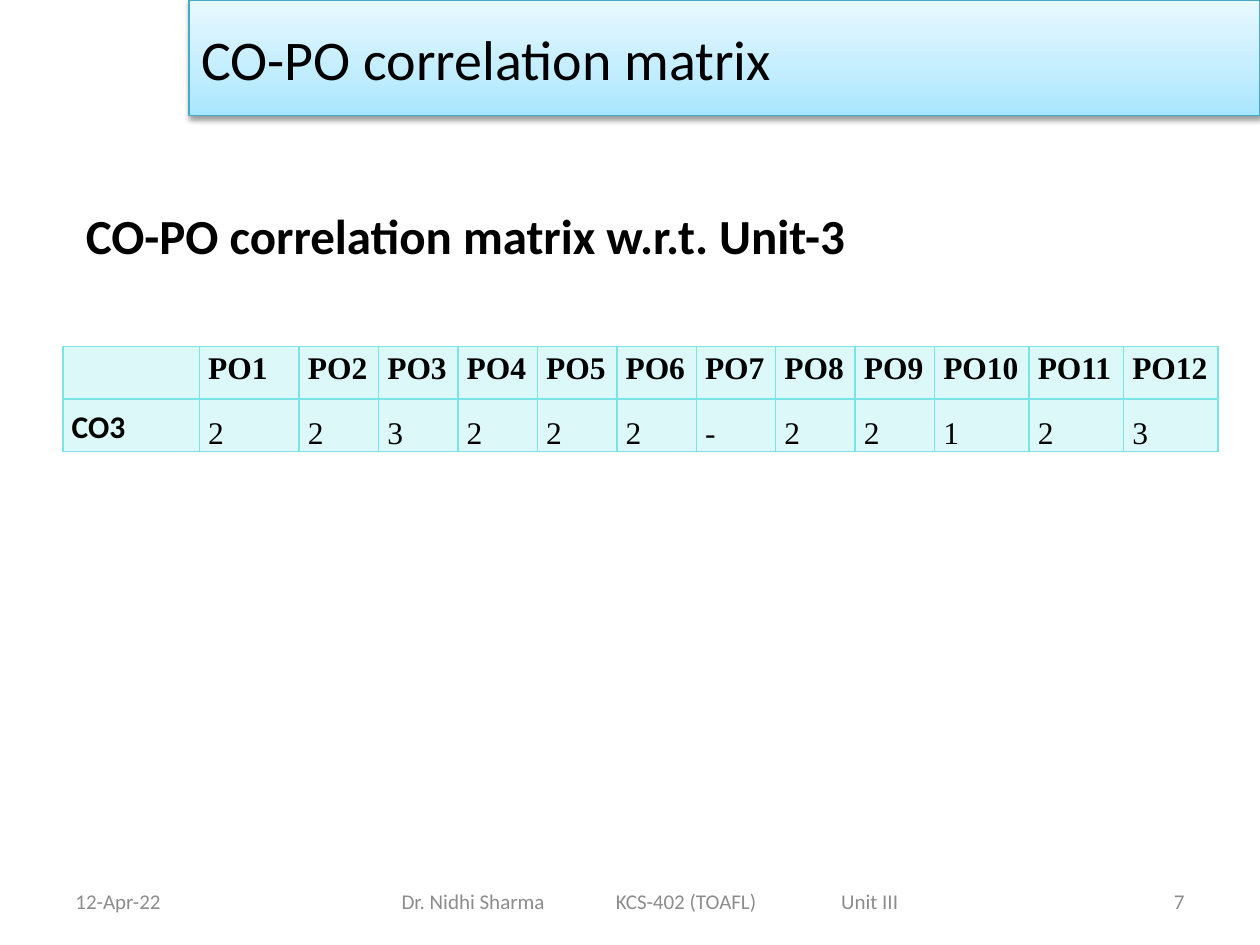
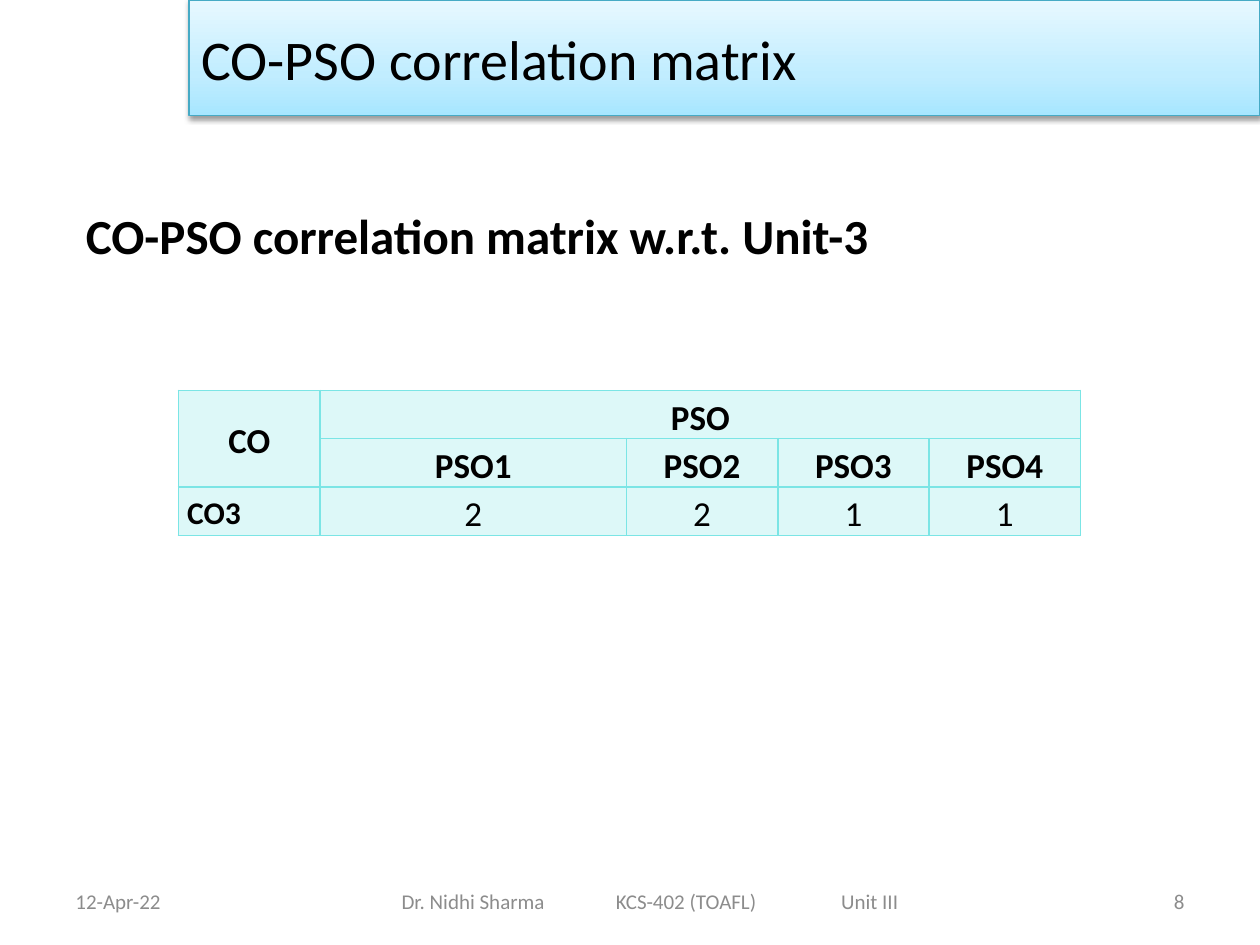
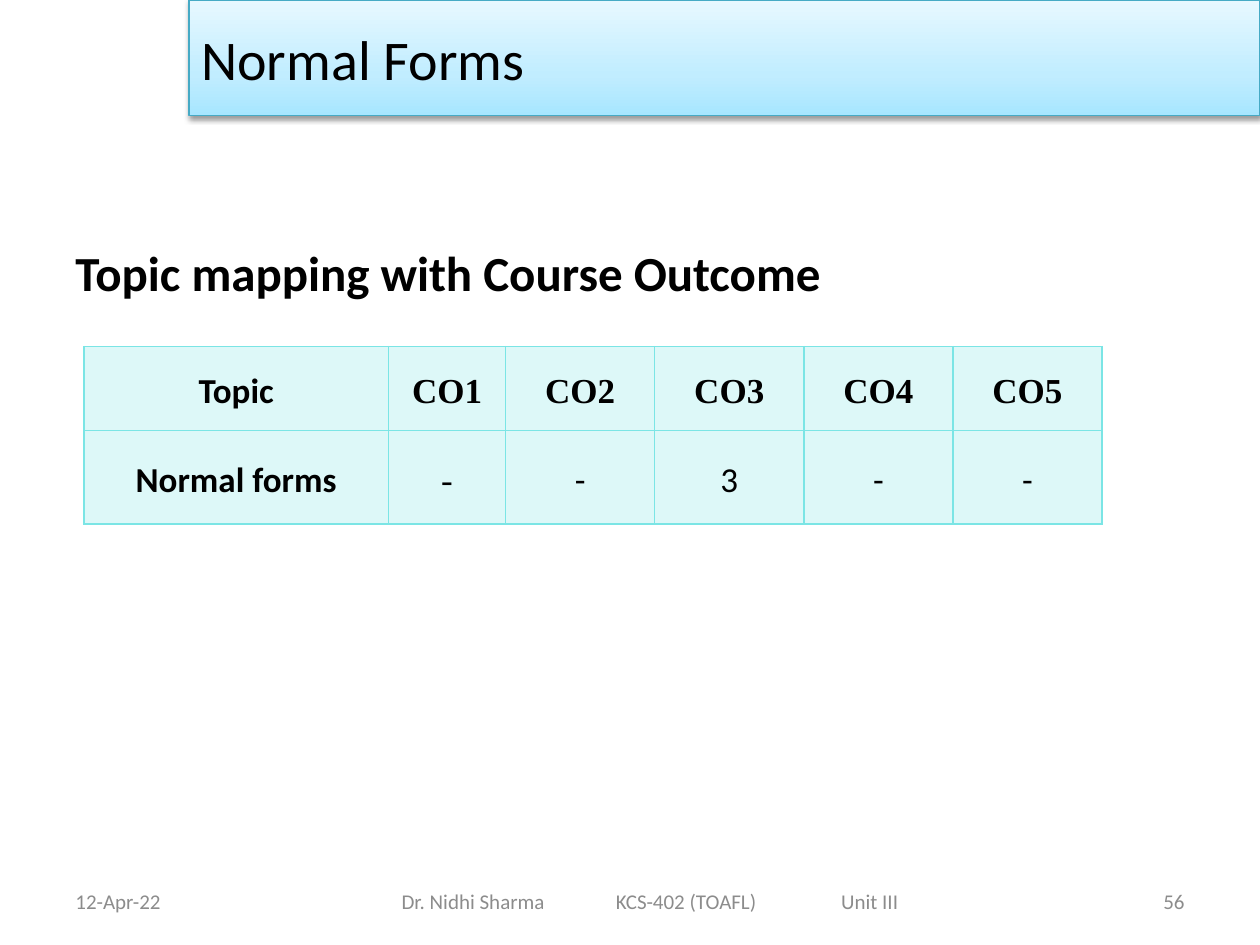
import dataclasses

import lxml.etree
import pptx
import pptx.dml.color
import pptx.enum.shapes
import pptx.enum.text
import pptx.oxml
import pptx.oxml.ns
import pptx.util

Pt = pptx.util.Pt
ALIGN = pptx.enum.text.PP_ALIGN
ANCHOR = pptx.enum.text.MSO_ANCHOR
qn = pptx.oxml.ns.qn


@dataclasses.dataclass(frozen=True)
class Theme:
    sans: str = "Calibri"
    serif: str = "Times New Roman"
    ink: str = "000000"
    muted: str = "8C8C8C"
    band_line: str = "46AAC5"
    band_stops: tuple = ((0, "A7E6FF"), (35, "C1EDFF"), (100, "E7F8FF"))
    grid: str = "7BE5E5"
    grid_opacity: int = 25
    title_size: int = 32
    heading_size: int = 28
    large_cell: int = 20
    small_cell: int = 18
    footer_size: int = 12


THEME = Theme()


@dataclasses.dataclass(frozen=True)
class Cell:
    text: str = ""
    size: int = THEME.large_cell
    font: str = THEME.sans
    bold: bool = False
    align: object = ALIGN.CENTER
    anchor: object = ANCHOR.MIDDLE


def rgb(value):
    return pptx.dml.color.RGBColor.from_string(value)


def add_child(parent, tag, **attributes):
    child = lxml.etree.SubElement(parent, qn(tag))
    for name, value in attributes.items():
        child.set(name, str(value))
    return child


def add_color(parent, color, opacity=100):
    node = add_child(parent, "a:srgbClr", val=color)
    if opacity < 100:
        add_child(node, "a:alpha", val=opacity * 1000)


def write_text(frame, text, size, color=THEME.ink, font=THEME.sans, bold=False,
               align=ALIGN.LEFT, anchor=ANCHOR.TOP, spacing=None, tabs=()):
    frame.vertical_anchor = anchor
    paragraph = frame.paragraphs[0]
    paragraph.alignment = align
    if spacing:
        paragraph.line_spacing = spacing
    if tabs:
        tab_list = add_child(paragraph._p.get_or_add_pPr(), "a:tabLst")
        for position in tabs:
            add_child(tab_list, "a:tab", pos=int(Pt(position)), algn="l")
    if text:
        run = paragraph.add_run()
        run.text = text
        run.font.name = font
        run.font.size = Pt(size)
        run.font.bold = bold
        run.font.color.rgb = rgb(color)


def add_text_box(slide, text, left, top, width, height, wrap=True,
                 margin_left=7.2, margin_top=3.6, **text_format):
    box = slide.shapes.add_textbox(Pt(left), Pt(top), Pt(width), Pt(height))
    frame = box.text_frame
    frame.word_wrap = wrap
    frame.margin_left = Pt(margin_left)
    frame.margin_top = Pt(margin_top)
    write_text(frame, text, **text_format)


def add_title_band(slide, title):
    band = slide.shapes.add_shape(
        pptx.enum.shapes.MSO_SHAPE.RECTANGLE, Pt(108), Pt(0), Pt(612), Pt(66))
    band.fill.gradient()
    band.fill.gradient_angle = 90
    properties = band._element.spPr
    stops = properties.find(".//" + qn("a:gsLst"))
    for stop in list(stops):
        stops.remove(stop)
    for position, color in THEME.band_stops:
        add_color(add_child(stops, "a:gs", pos=position * 1000), color)
    band.line.color.rgb = rgb(THEME.band_line)
    band.line.width = Pt(0.75)
    band.shadow.inherit = False
    shadow = add_child(properties.find(qn("a:effectLst")), "a:outerShdw",
                       blurRad=int(Pt(3.1)), dist=int(Pt(1.6)),
                       dir=5400000, rotWithShape=0)
    add_color(shadow, "000000", 38)
    band.text_frame.word_wrap = True
    write_text(band.text_frame, title, THEME.title_size, anchor=ANCHOR.MIDDLE)


def add_footer(slide, number):
    style = dict(top=500.4, height=28.8, size=THEME.footer_size,
                 color=THEME.muted, anchor=ANCHOR.MIDDLE)
    add_text_box(slide, "12-Apr-22", left=36, width=168, **style)
    add_text_box(slide, str(number), left=516, width=168, align=ALIGN.RIGHT, **style)
    add_text_box(slide, "Dr. Nidhi Sharma\tKCS-402 (TOAFL)\tUnit III", left=192,
                 width=360, margin_left=37.5, tabs=(122.4, 251.2), **style)


def add_heading(slide, text, left=42, top=114, width=460, height=41,
                wrap=False, **text_format):
    add_text_box(slide, text, left, top, width, height, wrap,
                 size=THEME.heading_size, bold=True, **text_format)


def style_cell(cell):
    cell.fill.solid()
    cell.fill.fore_color.rgb = rgb(THEME.grid)
    properties = cell._tc.get_or_add_tcPr()
    fill_color = properties.find(".//" + qn("a:srgbClr"))
    add_child(fill_color, "a:alpha", val=THEME.grid_opacity * 1000)
    for index, side in enumerate(("a:lnL", "a:lnR", "a:lnT", "a:lnB")):
        border = add_child(properties, side, w=int(Pt(1)))
        add_color(add_child(border, "a:solidFill"), THEME.grid)
        properties.insert(index, border)
    cell.margin_left = cell.margin_right = Pt(5)
    cell.margin_top = cell.margin_bottom = 0


def add_matrix(slide, left, top, widths, heights, rows, merges=()):
    frame = slide.shapes.add_table(len(heights), len(widths), Pt(left), Pt(top),
                                   Pt(sum(widths)), Pt(sum(heights)))
    table = frame.table
    table.first_row = table.horz_banding = False
    for column, width in zip(table.columns, widths):
        column.width = Pt(width)
    for row, height in zip(table.rows, heights):
        row.height = Pt(height)
    for row_index, row in enumerate(rows):
        for column_index, content in enumerate(row):
            cell = table.cell(row_index, column_index)
            style_cell(cell)
            write_text(cell.text_frame, spacing=1.15, **dataclasses.asdict(content))
            cell.vertical_anchor = content.anchor
    for start, end in merges:
        table.cell(*start).merge(table.cell(*end))


def cells(texts, **cell_format):
    return [Cell(text, **cell_format) for text in texts]


def numbered(prefix, count):
    return [f"{prefix}{number}" for number in range(1, count + 1)]


def add_base_slide(presentation, title, number):
    slide = presentation.slides.add_slide(presentation.slide_layouts[6])
    add_title_band(slide, title)
    add_footer(slide, number)
    return slide


def add_po_slide(presentation, outcome):
    slide = add_base_slide(presentation, "CO-PO correlation matrix", 7)
    add_heading(slide, "CO-PO correlation matrix w.r.t. Unit-3")
    serif = dict(size=THEME.small_cell, font=THEME.serif)
    header = cells(numbered("PO", 12), bold=True, align=ALIGN.JUSTIFY,
                   anchor=ANCHOR.TOP, **serif)
    levels = cells("222"[:2] + "3222-22123", align=ALIGN.LEFT,
                   anchor=ANCHOR.BOTTOM, **serif)
    add_matrix(slide, 36, 198, [78, 57] + [45.4] * 8 + [54] * 3, [30] * 2,
               [[Cell()] + header, [outcome] + levels])


def add_pso_slide(presentation, outcome):
    slide = add_base_slide(presentation, "CO-PSO correlation matrix", 8)
    add_heading(slide, "CO-PSO correlation matrix w.r.t. Unit-3", width=466)
    top = dict(anchor=ANCHOR.TOP)
    rows = [
        [Cell("CO", bold=True)] + cells(["PSO", "", "", ""], bold=True, **top),
        [Cell()] + cells(numbered("PSO", 4), bold=True, **top),
        [outcome] + cells("2211", **top),
    ]
    add_matrix(slide, 102, 223, [81, 175] + [86.5] * 3, [27.6] * 3, rows,
               merges=[((0, 0), (1, 0)), ((0, 1), (0, 4))])


def add_topic_slide(presentation):
    slide = add_base_slide(presentation, "Normal Forms", 56)
    add_heading(slide, "Topic mapping with Course Outcome", left=36, top=90,
                width=648, height=356.4, wrap=True, margin_top=48.6,
                align=ALIGN.JUSTIFY)
    rows = [
        [Cell("Topic", bold=True)]
        + cells(numbered("CO", 5), bold=True, font=THEME.serif),
        [Cell("Normal forms", bold=True), Cell("-", font=THEME.serif)]
        + cells("-3--"),
    ]
    add_matrix(slide, 48, 198, [174, 67] + [85.2] * 4, [48, 53.5], rows)


def main():
    presentation = pptx.Presentation()
    presentation.slide_width = Pt(720)
    presentation.slide_height = Pt(540)
    outcome = Cell("CO3", size=THEME.small_cell, bold=True, align=ALIGN.LEFT)
    add_po_slide(presentation, outcome)
    add_pso_slide(presentation, outcome)
    add_topic_slide(presentation)
    presentation.save("out.pptx")


if __name__ == "__main__":
    main()
